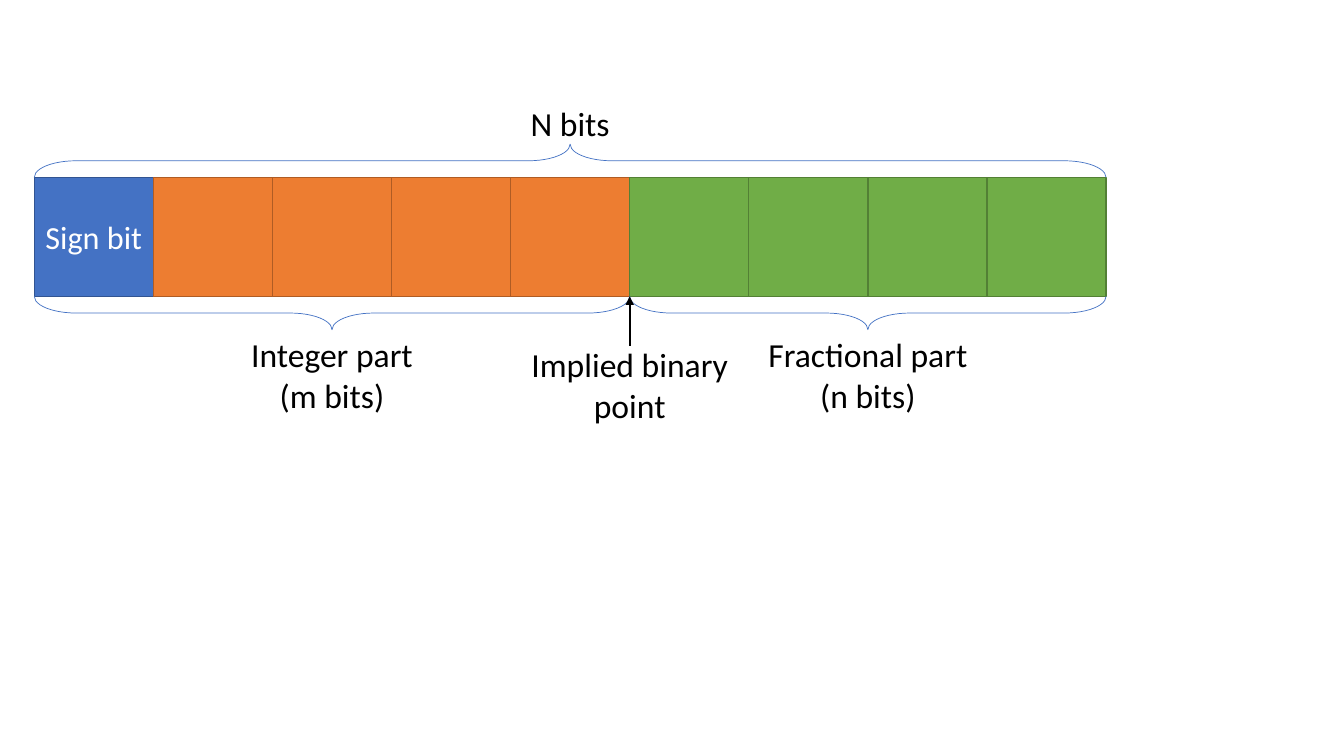
from dataclasses import dataclass

from lxml import etree
from pptx import Presentation
from pptx.dml.color import RGBColor
from pptx.enum.shapes import MSO_CONNECTOR, MSO_SHAPE
from pptx.enum.text import MSO_ANCHOR, PP_ALIGN
from pptx.oxml.ns import qn
from pptx.util import Inches, Pt

RECTANGLE, BRACE = MSO_SHAPE.RECTANGLE, MSO_SHAPE.RIGHT_BRACE
STRAIGHT = MSO_CONNECTOR.STRAIGHT
CENTER, MIDDLE = PP_ALIGN.CENTER, MSO_ANCHOR.MIDDLE


@dataclass(frozen=True)
class Theme:
    font: str = "Calibri"
    label_size: float = 24
    bit_size: float = 23
    text: str = "000000"
    bit_text: str = "FFFFFF"
    brace: str = "4472C4"
    # Fill and outline of each kind of bit
    sign: tuple = ("4472C4", "325491")
    integer: tuple = ("ED7D31", "AF5C24")
    fraction: tuple = ("70AD47", "538035")


class Diagram:
    def __init__(self, slide, theme):
        self.slide, self.theme = slide, theme

    def outline(self, line, color, width):
        line.color.rgb = RGBColor.from_string(color)
        line.width = Pt(width)

    def add_lines(self, frame, lines, size, color):
        frame.vertical_anchor = MIDDLE
        for i, line in enumerate(lines):
            paragraph = frame.paragraphs[0] if i == 0 else frame.add_paragraph()
            paragraph.alignment = CENTER
            run = paragraph.add_run()
            run.text = line
            run.font.name = self.theme.font
            run.font.size = Pt(size)
            run.font.color.rgb = RGBColor.from_string(color)

    def bit(self, left, top, side, colors, caption=None):
        fill, edge = colors
        cell = self.slide.shapes.add_shape(
            RECTANGLE, Inches(left), Inches(top), Inches(side), Inches(side))
        cell.shadow.inherit = False
        cell.fill.solid()
        cell.fill.fore_color.rgb = RGBColor.from_string(fill)
        self.outline(cell.line, edge, 1)
        if caption:
            frame = cell.text_frame
            frame.margin_left = frame.margin_right = 0
            self.add_lines(frame, [caption], self.theme.bit_size, self.theme.bit_text)

    def brace(self, left, right, top, depth, rotation):
        """Span left to right with a brace turned about its centre."""
        span = right - left
        brace = self.slide.shapes.add_shape(
            BRACE, Inches((left + right - depth) / 2), Inches(top + (depth - span) / 2),
            Inches(depth), Inches(span))
        brace.rotation = rotation
        brace.adjustments[0] = 1.26
        brace.adjustments[1] = 0.5
        brace.shadow.inherit = False
        brace.fill.background()
        self.outline(brace.line, self.theme.brace, 0.5)

    def label(self, center, top, width, height, *lines):
        box = self.slide.shapes.add_textbox(
            Inches(center - width / 2), Inches(top), Inches(width), Inches(height))
        box.text_frame.word_wrap = True
        self.add_lines(box.text_frame, lines, self.theme.label_size, self.theme.text)

    def arrow(self, x, start, end):
        arrow = self.slide.shapes.add_connector(
            STRAIGHT, Inches(x), Inches(start), Inches(x), Inches(end))
        self.outline(arrow.line, self.theme.text, 1.5)
        properties = arrow._element.spPr
        etree.SubElement(properties.find(qn("a:ln")), qn("a:tailEnd"), type="triangle")
        etree.SubElement(properties, qn("a:effectLst"))


presentation = Presentation()
presentation.slide_width, presentation.slide_height = Inches(13.33), Inches(7.5)
theme = Theme()
diagram = Diagram(
    presentation.slides.add_slide(presentation.slide_layouts[6]), theme)

# Word layout: one sign bit, four integer bits, four fraction bits
LEFT, TOP, WIDTH, DEPTH = 0.34, 1.76, 10.63, 0.33
bits = [theme.sign] + [theme.integer] * 4 + [theme.fraction] * 4
side = WIDTH / len(bits)
bottom = TOP + side
point = LEFT + side * bits.index(theme.fraction)
right = LEFT + WIDTH

# Row of bits
for i, colors in enumerate(bits):
    diagram.bit(LEFT + i * side, TOP, side, colors, None if i else "Sign bit")

# Braces over the whole word and under its two parts
diagram.brace(LEFT, right, TOP - DEPTH, DEPTH, 270)
diagram.brace(LEFT, point, bottom, DEPTH, 90)
diagram.brace(point, right, bottom, DEPTH, 90)

# Binary point
diagram.arrow(point, 3.43, bottom)
diagram.label(point, 3.36, 2.58, 0.91, "Implied binary point")

# Brace labels
diagram.label((LEFT + right) / 2, 0.97, 1.57, 0.5, "N bits")
diagram.label((LEFT + point) / 2, 3.26, 1.87, 0.91, "Integer part", "(m bits)")
diagram.label((point + right) / 2, 3.26, 2.21, 0.91, "Fractional part", "(n bits)")

presentation.save("out.pptx")
